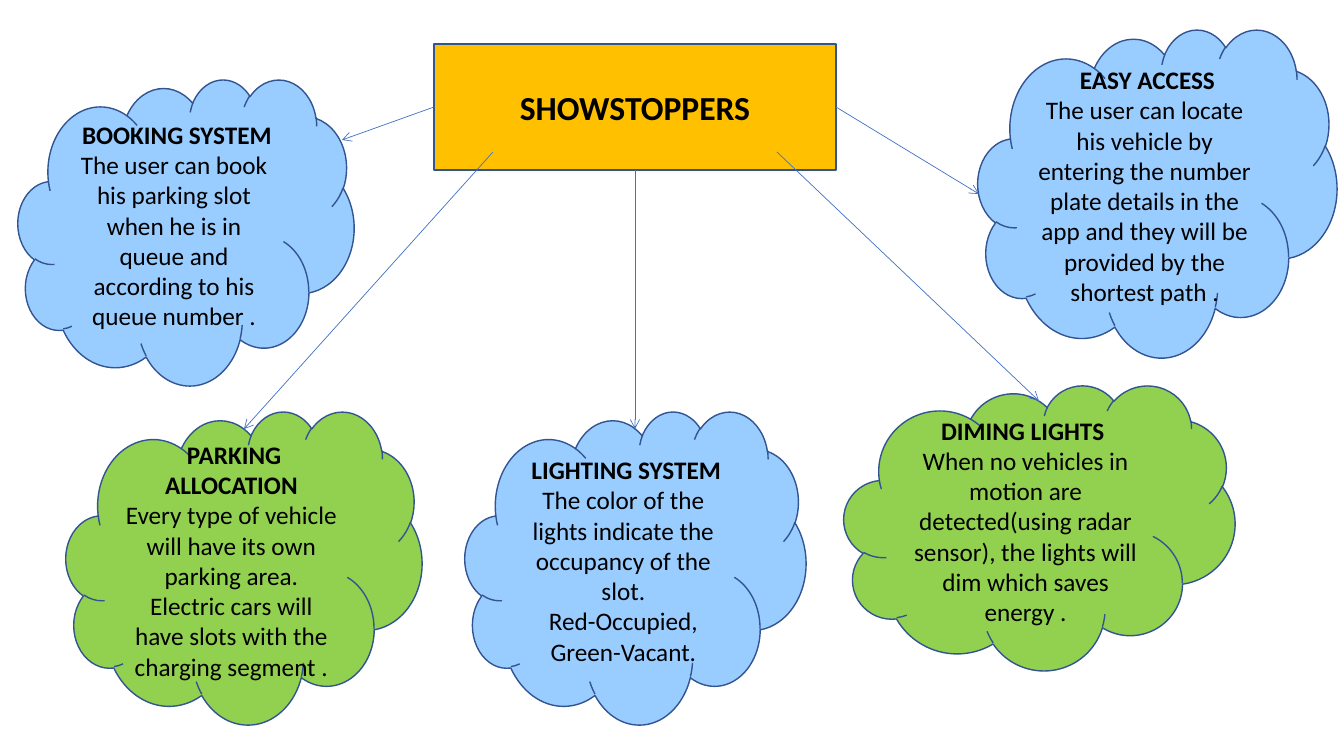
from lxml.etree import SubElement
from pptx import Presentation
from pptx.dml.color import RGBColor
from pptx.enum.shapes import MSO_CONNECTOR, MSO_SHAPE
from pptx.enum.text import MSO_ANCHOR, MSO_AUTO_SIZE, PP_ALIGN
from pptx.oxml.ns import qn
from pptx.util import Pt

PIXEL = 914400 / 100.8
BLUE, GREEN, ORANGE = "99CCFF", "92D050", "FFC000"
OUTLINE, ARROW, BLACK = "325491", "4472C4", "000000"


def emu(*pixels):
    """Turn pixel lengths into a list of EMU lengths."""
    return [round(pixel * PIXEL) for pixel in pixels]


def fill_shape(shape, color, paragraphs, size):
    """Colour a shape and write its paragraphs, the first one bold."""
    shape.fill.solid()
    shape.fill.fore_color.rgb = RGBColor.from_string(color)
    shape.line.color.rgb = RGBColor.from_string(OUTLINE)
    shape.line.width = Pt(1)
    frame = shape.text_frame
    frame.word_wrap = True
    frame.auto_size = MSO_AUTO_SIZE.NONE
    frame.vertical_anchor = MSO_ANCHOR.MIDDLE
    for index, text in enumerate(paragraphs):
        paragraph = frame.add_paragraph() if index else frame.paragraphs[0]
        paragraph.alignment = PP_ALIGN.CENTER
        paragraph.line_spacing = 1.0
        for number, line in enumerate(text.split("\n")):
            if number:
                paragraph.add_line_break()
            run = paragraph.add_run()
            run.text = line
            run.font.name = "Calibri"
            run.font.size = Pt(size)
            run.font.bold = index == 0
            run.font.color.rgb = RGBColor.from_string(BLACK)


presentation = Presentation()
presentation.slide_width, presentation.slide_height = emu(1344, 756)
slide = presentation.slides.add_slide(presentation.slide_layouts[5])

# Title in an ellipse
title = slide.shapes.title
title.left, title.top, title.width, title.height = emu(434, 44, 402, 126)
geometry = SubElement(title.element.spPr, qn("a:prstGeom"), prst="ellipse")
SubElement(geometry, qn("a:avLst"))
fill_shape(title, ORANGE, ["SHOWSTOPPERS"], 24)

# Feature clouds
clouds = [
    ((18, 79, 336, 306), BLUE, [
        " BOOKING SYSTEM",
        "The user can book his parking slot when he is in queue and "
        "according to his queue number ."]),
    ((465, 411, 341, 313), BLUE, [
        " LIGHTING SYSTEM",
        "The color of the lights indicate the occupancy of the slot.",
        "Red-Occupied,",
        "Green-Vacant."]),
    ((844, 385, 391, 285), GREEN, [
        "DIMING LIGHTS ",
        "When no vehicles in motion are detected(using radar sensor), "
        "the lights will dim which saves energy ."]),
    ((66, 411, 356, 313), GREEN, [
        " PARKING ALLOCATION",
        "Every type of vehicle will have its own parking area.\n"
        "Electric cars will have slots with the charging segment ."]),
    ((978, 29, 359, 328), BLUE, [
        " EASY ACCESS",
        "The user can locate his vehicle by entering the number plate "
        "details in the app and they will be provided by the shortest path ."]),
]
for box, color, paragraphs in clouds:
    cloud = slide.shapes.add_shape(MSO_SHAPE.CLOUD, *emu(*box))
    cloud.shadow.inherit = False
    fill_shape(cloud, color, paragraphs, 18)

# Arrows from the title to the clouds
arrows = [
    (434, 107, 342, 140),
    (635, 170, 635, 429),
    (777, 152, 1039, 401),
    (836, 107, 979, 194),
    (493, 152, 244, 429),
]
for ends in arrows:
    arrow = slide.shapes.add_connector(MSO_CONNECTOR.STRAIGHT, *emu(*ends))
    arrow.line.color.rgb = RGBColor.from_string(ARROW)
    arrow.line.width = Pt(0.5)
    SubElement(arrow.line._get_or_add_ln(), qn("a:tailEnd"), type="arrow")
    SubElement(arrow.element.spPr, qn("a:effectLst"))

presentation.save("out.pptx")
